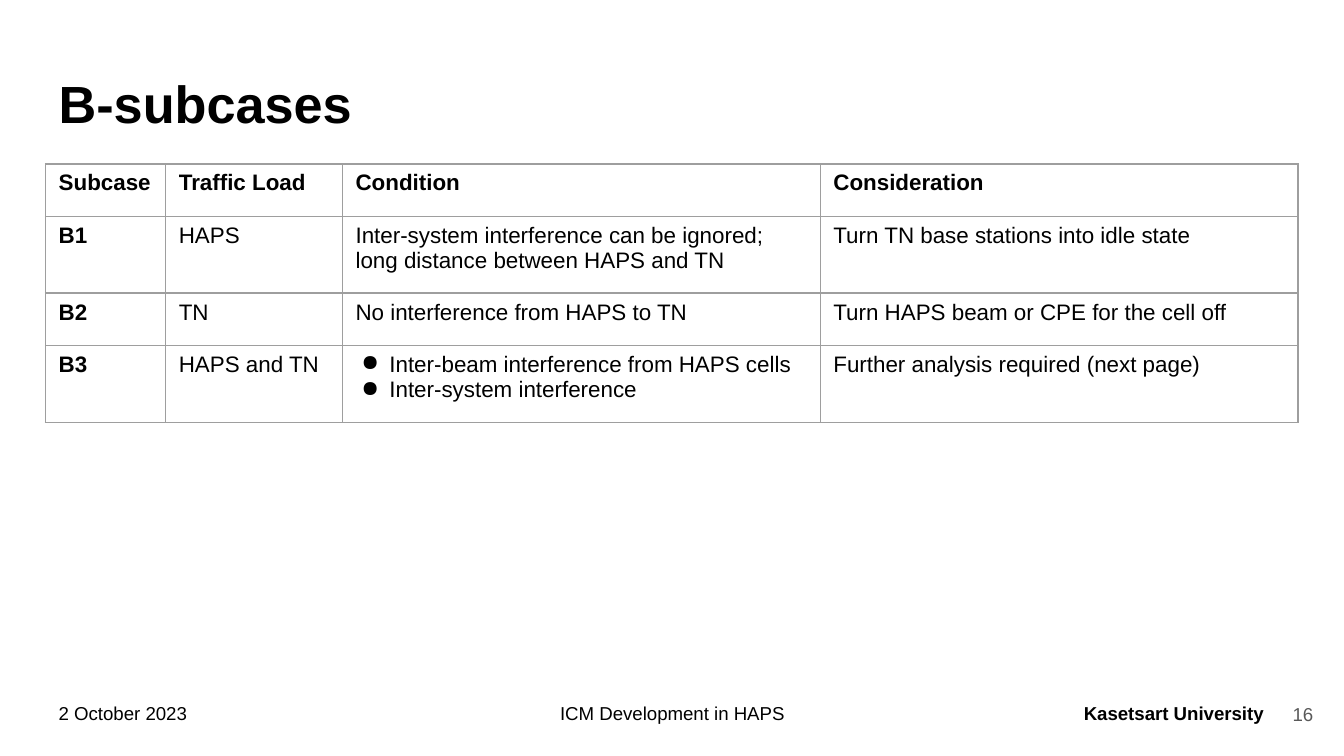
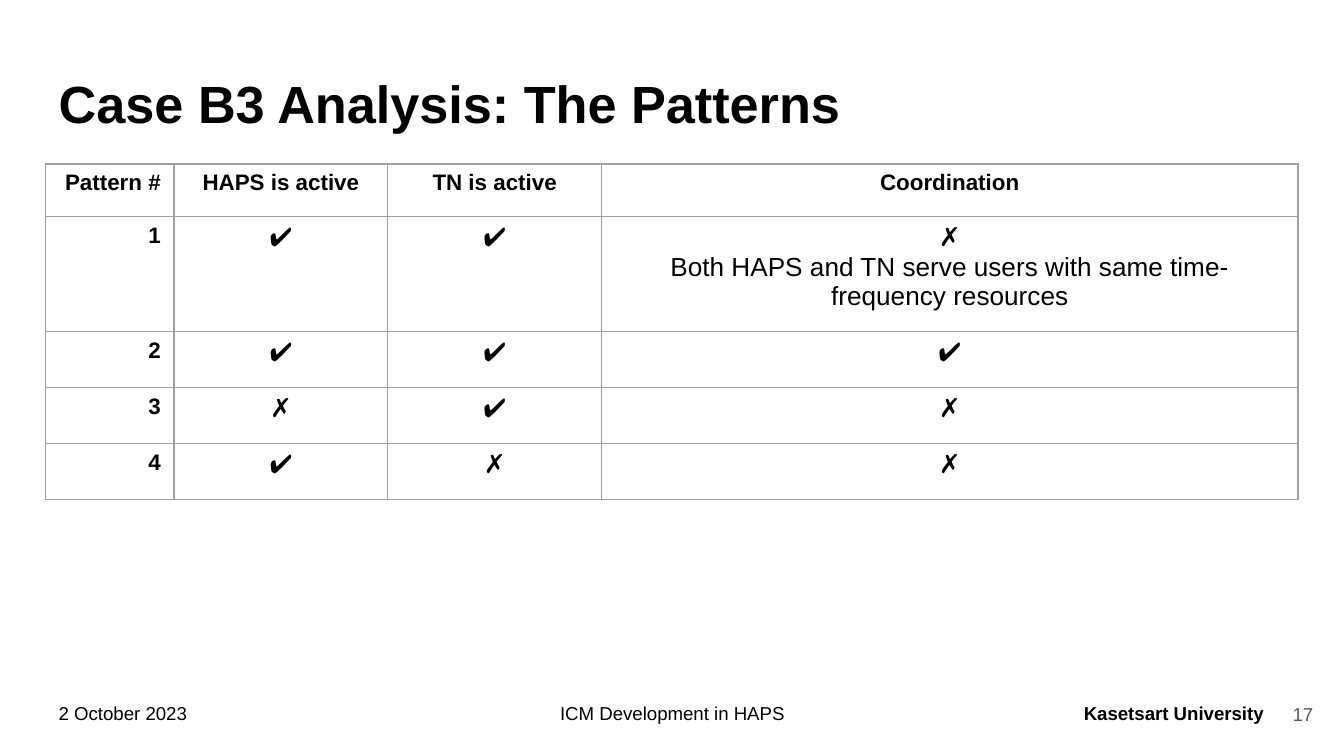
from dataclasses import dataclass
from typing import Any

from lxml.etree import SubElement
from pptx import Presentation
from pptx.dml.color import RGBColor
from pptx.enum.text import MSO_ANCHOR as Anchor, PP_ALIGN as Align
from pptx.oxml.ns import qn
from pptx.util import Cm, Pt

FONT = "Arial"
INK = "000000"
GREY = "595959"
RULE = "9E9E9E"
PAD = 0.25
LEFT = 0.86


@dataclass
class Label:
    left: float
    top: float
    width: float
    height: float
    size: int = 10
    bold: bool = False
    align: Any = Align.LEFT
    color: str = INK
    anchor: Any = Anchor.TOP
    space: float = 1.0


@dataclass
class Grid:
    cols: list[float]
    rows: list[float]
    aligns: list[Any]
    size: int
    cells: list[list[str]]
    bullets: tuple[int, int] | None = None


@dataclass
class Page:
    title: str
    number: int
    grid: Grid


HEAD = Label(LEFT, 1.24, 23.67, 1.6, size=28, bold=True, space=0.9)
NUMBER = Label(23.55, 12.95, 1.52, 1.09, align=Align.RIGHT, color=GREY,
               anchor=Anchor.MIDDLE)
FOOTERS = [
    ("2 October 2023", Label(LEFT, 13.06, 3, 0.94)),
    ("ICM Development in HAPS", Label(6.43, 13.06, 12.55, 0.94, align=Align.CENTER)),
    ("Kasetsart University", Label(20.12, 13.06, 4.01, 0.94, bold=True, align=Align.RIGHT)),
]

CASES = Grid(
    [2.27, 3.34, 9.03, 9.03], [0.99, 1.45, 0.99, 1.45], [Align.LEFT] * 4, 12,
    [
        ["Subcase", "Traffic Load", "Condition", "Consideration"],
        ["B1", "HAPS",
         "Inter-system interference can be ignored;\vlong distance between HAPS and TN",
         "Turn TN base stations into idle state"],
        ["B2", "TN", "No interference from HAPS to TN",
         "Turn HAPS beam or CPE for the cell off"],
        ["B3", "HAPS and TN",
         "Inter-beam interference from HAPS cells\nInter-system interference",
         "Further analysis required (next page)"],
    ],
    bullets=(3, 2),
)
PATTERNS = Grid(
    [2.43, 4.04, 4.04, 13.16], [0.99, 2.17] + [1.06] * 3,
    [Align.RIGHT] + [Align.CENTER] * 3, 14,
    [
        ["Pattern #", "HAPS is active", "TN is active", "Coordination"],
        ["1", "✔", "✔",
         "✗\vBoth HAPS and TN serve users with same time-frequency resources"],
        ["2", "✔", "✔", "✔"],
        ["3", "✗", "✔", "✗"],
        ["4", "✔", "✗", "✗"],
    ],
)
PAGES = [
    Page("B-subcases", 16, CASES),
    Page("Case B3 Analysis: The Patterns", 17, PATTERNS),
]


def paint(code: str) -> RGBColor:
    return RGBColor.from_string(code)


def style(para: Any, size: int, bold: bool, align: Any, color: str = INK) -> None:
    para.alignment = align
    for run in para.runs:
        run.font.name = FONT
        run.font.size = Pt(size)
        run.font.bold = bold
        run.font.color.rgb = paint(color)
    for gap in para._p.findall(qn("a:br")):
        SubElement(gap, qn("a:rPr"), sz=str(size * 100))


def write(slide: Any, text: str, label: Label) -> None:
    box = slide.shapes.add_textbox(Cm(label.left), Cm(label.top),
                                   Cm(label.width), Cm(label.height))
    frame = box.text_frame
    frame.word_wrap = True
    frame.vertical_anchor = label.anchor
    frame.margin_left = frame.margin_right = Cm(PAD)
    frame.margin_top = frame.margin_bottom = Cm(PAD)
    frame.text = text
    para = frame.paragraphs[0]
    para.line_spacing = label.space
    style(para, label.size, label.bold, label.align, label.color)


def bullet(para: Any) -> None:
    props = para._p.get_or_add_pPr()
    props.set("marL", str(Cm(0.64)))
    props.set("indent", str(Cm(-0.53)))
    tint = SubElement(props, qn("a:buClr"))
    SubElement(tint, qn("a:srgbClr"), val=INK)
    SubElement(props, qn("a:buChar"), char="●")


def border(cell: Any) -> None:
    props = cell._tc.get_or_add_tcPr()
    for spot, side in enumerate(("lnL", "lnR", "lnT", "lnB")):
        line = SubElement(props, qn(f"a:{side}"), w=str(Pt(0.75)))
        fill = SubElement(line, qn("a:solidFill"))
        SubElement(fill, qn("a:srgbClr"), val=RULE)
        props.insert(spot, line)


def draw(slide: Any, grid: Grid) -> None:
    shape = slide.shapes.add_table(len(grid.rows), len(grid.cols), Cm(LEFT), Cm(3.1),
                                   Cm(sum(grid.cols)), Cm(sum(grid.rows)))
    table = shape.table
    table.first_row = table.horz_banding = False
    for col, width in zip(table.columns, grid.cols):
        col.width = Cm(width)
    for row, height in zip(table.rows, grid.rows):
        row.height = Cm(height)
    for r, texts in enumerate(grid.cells):
        for c, text in enumerate(texts):
            cell = table.cell(r, c)
            cell.margin_left = cell.margin_right = Cm(PAD)
            cell.margin_top = cell.margin_bottom = Cm(PAD / 2)
            cell.fill.background()
            border(cell)
            cell.text_frame.text = text
            bold = r == 0 or c == 0
            for para in cell.text_frame.paragraphs:
                if (r, c) == grid.bullets:
                    bullet(para)
                style(para, 12 if bold else grid.size, bold, grid.aligns[c])


def main() -> None:
    deck = Presentation()
    deck.slide_width, deck.slide_height = Cm(25.4), Cm(14.29)
    for page in PAGES:
        slide = deck.slides.add_slide(deck.slide_layouts[6])
        for text, label in FOOTERS:
            write(slide, text, label)
        write(slide, page.title, HEAD)
        write(slide, str(page.number), NUMBER)
        draw(slide, page.grid)
    deck.save("out.pptx")


if __name__ == "__main__":
    main()
